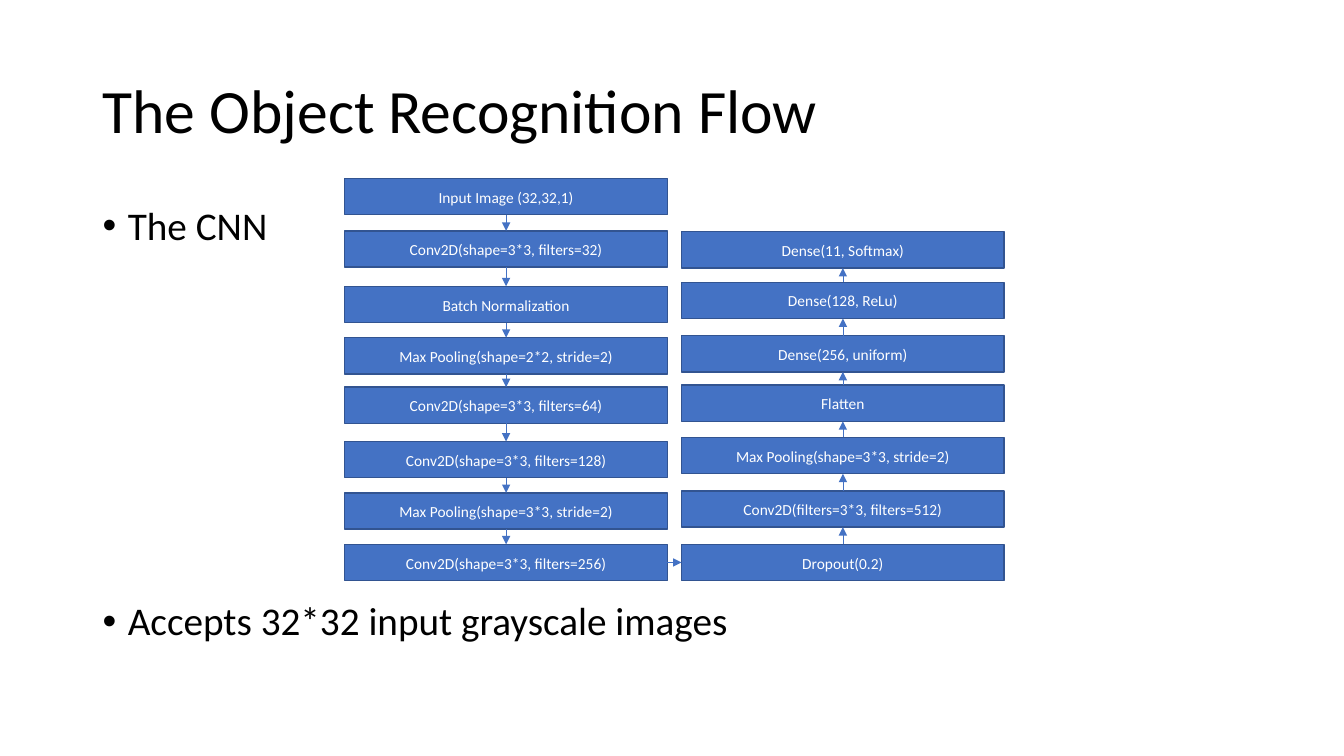
from itertools import pairwise

from lxml.etree import SubElement
from pptx import Presentation
from pptx.dml.color import RGBColor
from pptx.enum.shapes import MSO_CONNECTOR as CONNECTOR, MSO_SHAPE as SHAPE
from pptx.enum.text import MSO_ANCHOR as ANCHOR, PP_ALIGN as ALIGN
from pptx.oxml.ns import qn
from pptx.util import Pt

PX = 9144
FONT = "Calibri"
BLUE, OUTLINE, WHITE, BLACK = "4472C4", "325491", "FFFFFF", "000000"
BOX_WIDTH, BOX_HEIGHT = 320, 36


def color(value):
    return RGBColor.from_string(value)


def style(paragraph, size, text_color, spacing):
    paragraph.line_spacing = spacing
    font = paragraph.runs[0].font
    font.name = FONT
    font.size = Pt(size)
    font.color.rgb = color(text_color)


deck = Presentation()
deck.slide_width, deck.slide_height = 1333 * PX, 750 * PX
slide = deck.slides.add_slide(deck.slide_layouts[6])
shapes = slide.shapes

title = shapes.add_textbox(92 * PX, 40 * PX, 1150 * PX, 145 * PX).text_frame
title.word_wrap = True
title.vertical_anchor = ANCHOR.MIDDLE
title.text = "The Object Recognition Flow"
style(title.paragraphs[0], 44, BLACK, 0.9)

points = shapes.add_textbox(92 * PX, 200 * PX, 1150 * PX, 476 * PX).text_frame
points.word_wrap = True
points.text = "The CNN\nAccepts 32*32 input grayscale images"
for point, space_before in zip(points.paragraphs, (10, 252)):
    style(point, 28, BLACK, 0.9)
    point.space_before = Pt(space_before)
    properties = point._p.get_or_add_pPr()
    properties.set("marL", str(25 * PX))
    properties.set("indent", str(-25 * PX))
    SubElement(properties, qn("a:buFont")).set("typeface", "Arial")
    SubElement(properties, qn("a:buChar")).set("char", "•")

down_layers = [
    ("Input Image (32,32,1)", 177),
    ("Conv2D(shape=3*3, filters=32)", 229),
    ("Batch Normalization", 284),
    ("Max Pooling(shape=2*2, stride=2)", 335),
    ("Conv2D(shape=3*3, filters=64)", 384),
    ("Conv2D(shape=3*3, filters=128)", 438),
    ("Max Pooling(shape=3*3, stride=2)", 489),
    ("Conv2D(shape=3*3, filters=256)", 540),
]
up_layers = [
    ("Dropout(0.2)", 540),
    ("Conv2D(filters=3*3, filters=512)", 487),
    ("Max Pooling(shape=3*3, stride=2)", 434),
    ("Flatten", 382),
    ("Dense(256, uniform)", 333),
    ("Dense(128, ReLu)", 280),
    ("Dense(11, Softmax)", 230),
]

flow = []
for left, layers in ((342, down_layers), (676, up_layers)):
    for label, top in layers:
        layer = shapes.add_shape(
            SHAPE.RECTANGLE, left * PX, top * PX, BOX_WIDTH * PX, BOX_HEIGHT * PX
        )
        layer.shadow.inherit = False
        layer.fill.solid()
        layer.fill.fore_color.rgb = color(BLUE)
        layer.line.color.rgb = color(OUTLINE)
        layer.line.width = Pt(1)
        layer.text_frame.text = label
        layer.text_frame.vertical_anchor = ANCHOR.MIDDLE
        caption = layer.text_frame.paragraphs[0]
        caption.alignment = ALIGN.CENTER
        caption.space_after = Pt(8)
        style(caption, 11, WHITE, 1.05)
        flow.append(layer)

for source, target in pairwise(flow):
    if source.left != target.left:
        start_side, end_side = 3, 1
    elif source.top < target.top:
        start_side, end_side = 2, 0
    else:
        start_side, end_side = 0, 2
    arrow = shapes.add_connector(CONNECTOR.STRAIGHT, 0, 0, 0, 0)
    arrow.begin_connect(source, start_side)
    arrow.end_connect(target, end_side)
    arrow.line.color.rgb = color(BLUE)
    arrow.line.width = Pt(0.5)
    SubElement(arrow.line._get_or_add_ln(), qn("a:tailEnd")).set("type", "triangle")
    SubElement(arrow._element.spPr, qn("a:effectLst"))

deck.save("out.pptx")
